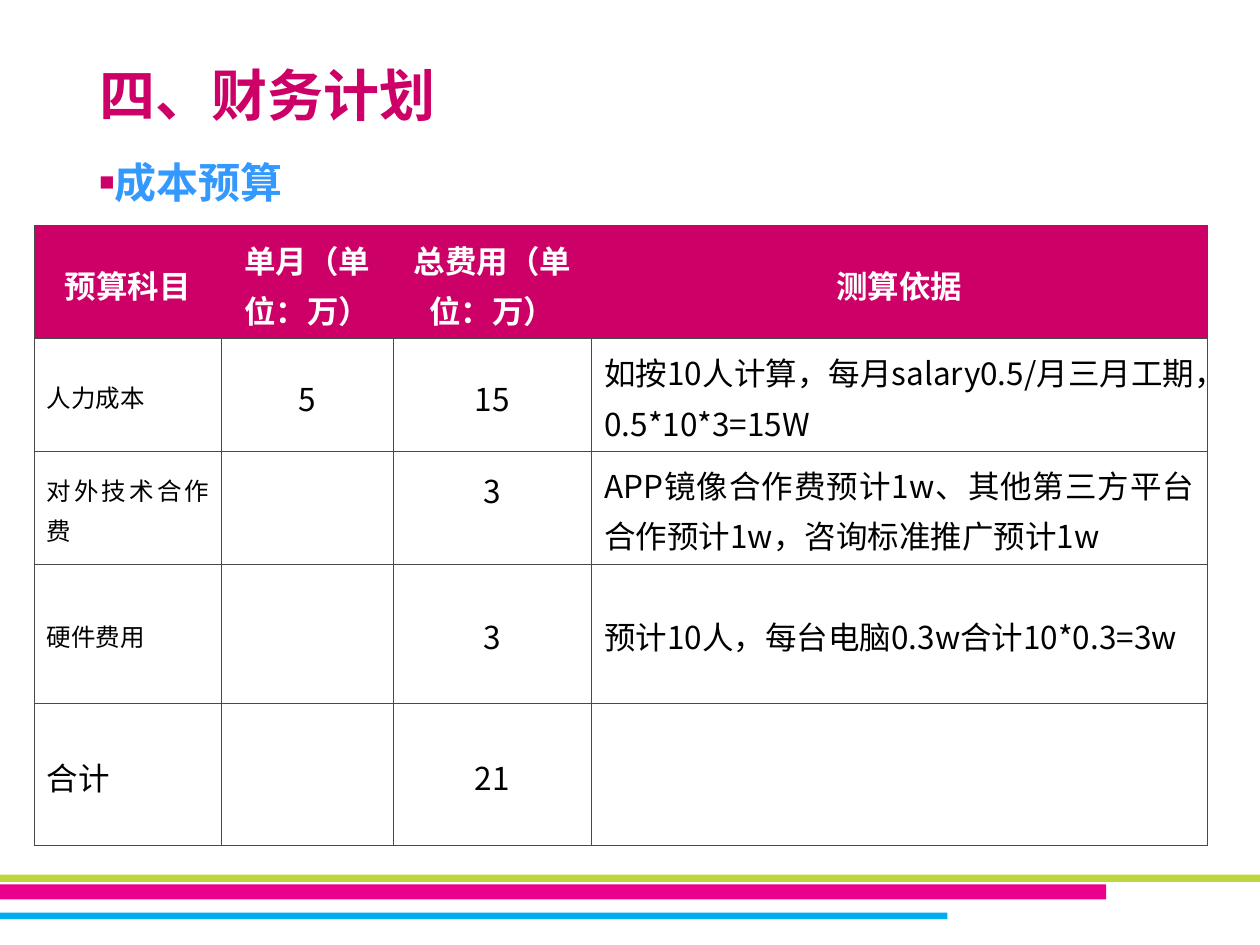
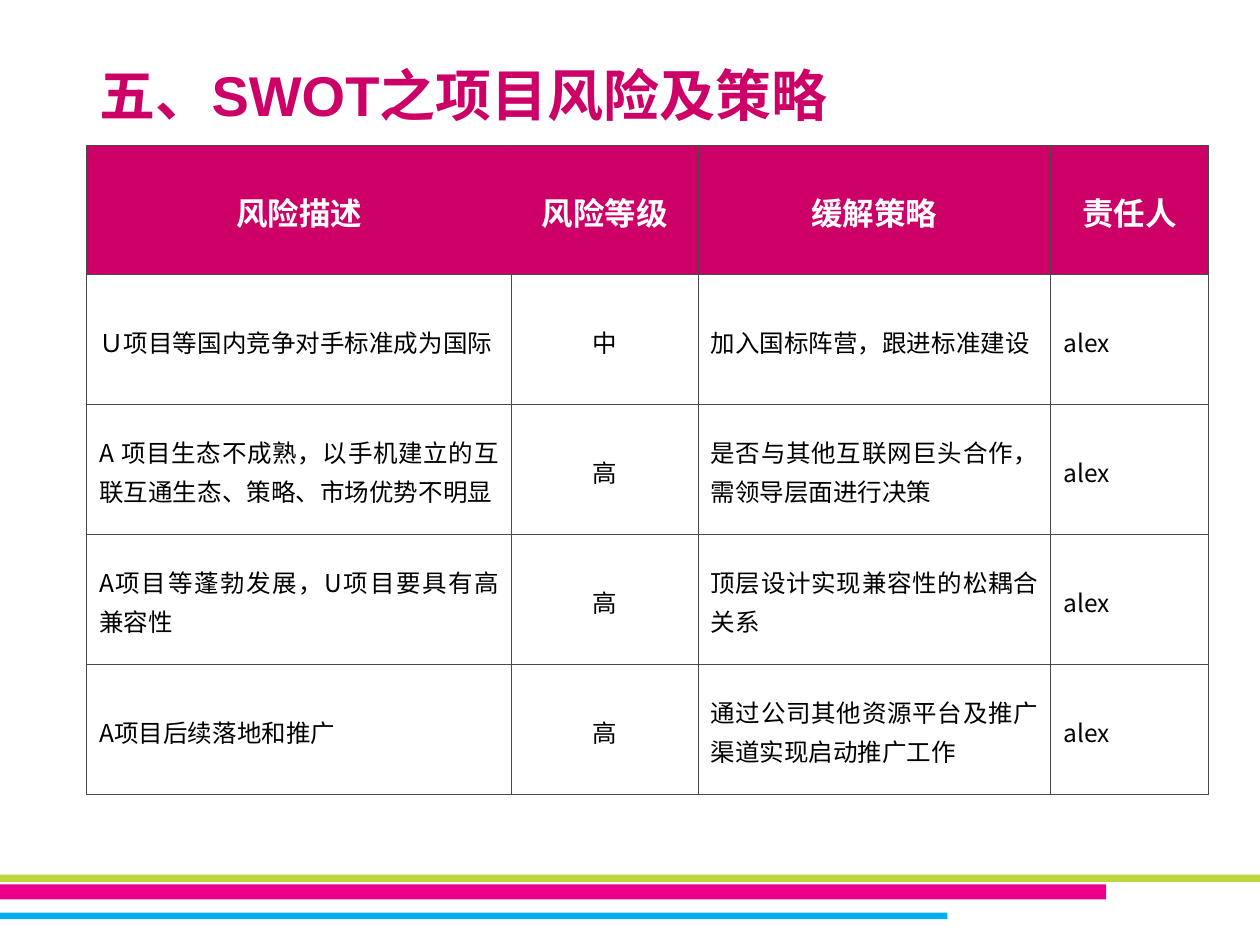
from dataclasses import dataclass
from typing import NamedTuple

from lxml.etree import SubElement
from pptx import Presentation
from pptx.dml.color import RGBColor
from pptx.enum.shapes import MSO_SHAPE as Form
from pptx.enum.text import MSO_ANCHOR as Anchor, MSO_AUTO_SIZE as Fit, PP_ALIGN as Align
from pptx.oxml.ns import qn
from pptx.util import Cm, Pt

ROSE = RGBColor(0xCC, 0x00, 0x66)
SKY = RGBColor(0x33, 0x99, 0xFF)
LIME = RGBColor(0xBE, 0xD6, 0x3A)
PINK = RGBColor(0xEB, 0x00, 0x8B)
CYAN = RGBColor(0x00, 0xAD, 0xEF)
GREY = RGBColor(0x47, 0x49, 0x4B)
BLACK = RGBColor(0, 0, 0)
WHITE = RGBColor(0xFF, 0xFF, 0xFF)

HAN = "Noto Sans CJK SC"
HEAD = "Arial"
PLAIN = "Calibri"


class Band(NamedTuple):
    top: float
    width: float
    height: float
    hue: RGBColor


class Style(NamedTuple):
    font: str
    size: int
    hue: RGBColor
    bold: bool
    align: Align
    space: float
    before: int


@dataclass(frozen=True)
class Grid:
    left: float
    top: float
    cols: list[float]
    rows: list[float]
    text: list[list[str]]
    mid: set[int]
    small: set[int]
    total: bool


BANDS = [
    Band(17.63, 25.4, 0.15, LIME),
    Band(17.83, 22.3, 0.3, PINK),
    Band(18.4, 19.1, 0.13, CYAN),
]
TITLE = Style(HEAD, 32, ROSE, True, Align.LEFT, 0.9, 0)
LIST = Style(HEAD, 24, SKY, True, Align.JUSTIFY, 1.1, 6)

COSTS = Grid(
    0.69, 4.55, [3.78, 3.45, 4.01, 12.4], [1.93, 1.93, 2.16, 2.8, 2.87],
    [
        ["预算科目", "单月（单位：万）", "总费用（单位：万）", "测算依据"],
        ["人力成本", "5", "15", "如按10人计算，每月salary0.5/月三月工期，0.5*10*3=15W"],
        ["对外技术合作费", "", "3", "APP镜像合作费预计1w、其他第三方平台合作预计1w，咨询标准推广预计1w"],
        ["硬件费用", "", "3", "预计10人，每台电脑0.3w合计10*0.3=3w"],
        ["合计", "", "21", ""],
    ],
    mid={1, 2}, small={0}, total=True,
)
RISKS = Grid(
    1.75, 2.92, [8.56, 3.76, 7.11, 3.18], [2.62] * 5,
    [
        ["风险描述", "风险等级", "缓解策略", "责任人"],
        ["Ｕ项目等国内竞争对手标准成为国际", "中", "加入国标阵营，跟进标准建设", "alex"],
        ["A 项目生态不成熟，以手机建立的互联互通生态、策略、市场优势不明显", "高",
         "是否与其他互联网巨头合作，需领导层面进行决策", "alex"],
        ["A项目等蓬勃发展，U项目要具有高兼容性", "高", "顶层设计实现兼容性的松耦合关系", "alex"],
        ["A项目后续落地和推广", "高", "通过公司其他资源平台及推广渠道实现启动推广工作", "alex"],
    ],
    mid={1}, small={0, 1, 2, 3}, total=False,
)


def write(frame, text: str, style: Style):
    para = frame.paragraphs[0]
    para.alignment = style.align
    para.line_spacing = style.space
    para.space_before = Pt(style.before)
    run = para.add_run()
    run.text = text
    font = run.font
    font.size = Pt(style.size)
    font.bold = style.bold
    font.color.rgb = style.hue
    font.name = style.font
    SubElement(run._r.get_or_add_rPr(), qn("a:ea"), typeface=HAN)
    return para


def place(shape, left: float, top: float, width: float, height: float) -> None:
    shape.left, shape.top = Cm(left), Cm(top)
    shape.width, shape.height = Cm(width), Cm(height)


def mark(para) -> None:
    props = para._p.get_or_add_pPr()
    props.set("marL", "0")
    props.set("indent", "0")
    tint = SubElement(props, qn("a:buClr"))
    SubElement(tint, qn("a:srgbClr"), val=str(ROSE))
    SubElement(props, qn("a:buSzPct"), val="60000")
    SubElement(props, qn("a:buFont"), typeface=HEAD)
    SubElement(props, qn("a:buChar"), char="■")


def edge(cell) -> None:
    props = cell._tc.get_or_add_tcPr()
    for spot, side in enumerate(("lnL", "lnR", "lnT", "lnB")):
        line = SubElement(props, qn(f"a:{side}"), w=str(Pt(0.45)))
        fill = SubElement(line, qn("a:solidFill"))
        SubElement(fill, qn("a:srgbClr"), val=str(GREY))
        props.insert(spot, line)


def pick(grid: Grid, row: int, col: int) -> Style:
    if row == 0:
        return Style(PLAIN, 18, WHITE, True, Align.CENTER, 1.1, 6)
    last = grid.total and row == len(grid.rows) - 1
    size = 14 if col in grid.small and not last else 18
    mixed = any(char.isascii() for char in grid.text[row][col])
    align = Align.CENTER if col in grid.mid else Align.JUSTIFY
    return Style(HAN if mixed else PLAIN, size, BLACK, False, align, 1.1, 6)


def draw_grid(slide, grid: Grid):
    table = slide.shapes.add_table(
        len(grid.rows), len(grid.cols), Cm(grid.left), Cm(grid.top),
        Cm(sum(grid.cols)), Cm(sum(grid.rows)),
    ).table
    for col, width in zip(table.columns, grid.cols):
        col.width = Cm(width)
    for row, height in zip(table.rows, grid.rows):
        row.height = Cm(height)
    for row, texts in enumerate(grid.text):
        for col, text in enumerate(texts):
            cell = table.cell(row, col)
            cell.vertical_anchor = Anchor.MIDDLE
            cell.fill.solid()
            cell.fill.fore_color.rgb = WHITE if row else ROSE
            edge(cell)
            if text:
                write(cell.text_frame, text, pick(grid, row, col))
    return table


def draw_band(slide, band: Band) -> None:
    bar = slide.shapes.add_shape(
        Form.RECTANGLE, 0, Cm(band.top), Cm(band.width), Cm(band.height))
    bar.shadow.inherit = False
    bar.fill.solid()
    bar.fill.fore_color.rgb = band.hue
    bar.line.fill.background()


def start(deck, kind: int, text: str):
    slide = deck.slides.add_slide(deck.slide_layouts[kind])
    for band in BANDS:
        draw_band(slide, band)
    title = slide.shapes.title
    place(title, 1.75, 1.1, 22.45, 1.63)
    frame = title.text_frame
    frame.auto_size = Fit.NONE
    frame.vertical_anchor = Anchor.BOTTOM
    write(frame, text, TITLE)
    return slide


def draw_costs(deck) -> None:
    slide = start(deck, 1, "四、财务计划")
    body = slide.placeholders[1]
    place(body, 1.75, 2.92, 11.02, 13.89)
    body.text_frame.auto_size = Fit.NONE
    mark(write(body.text_frame, "成本预算", LIST))
    table = draw_grid(slide, COSTS)
    table.cell(2, 2).margin_bottom = Cm(0.94)


def draw_risks(deck) -> None:
    slide = start(deck, 5, "五、SWOT之项目风险及策略")
    draw_grid(slide, RISKS)


def main() -> None:
    deck = Presentation()
    deck.slide_width, deck.slide_height = Cm(25.4), Cm(19.05)
    draw_costs(deck)
    draw_risks(deck)
    deck.save("out.pptx")


if __name__ == "__main__":
    main()
